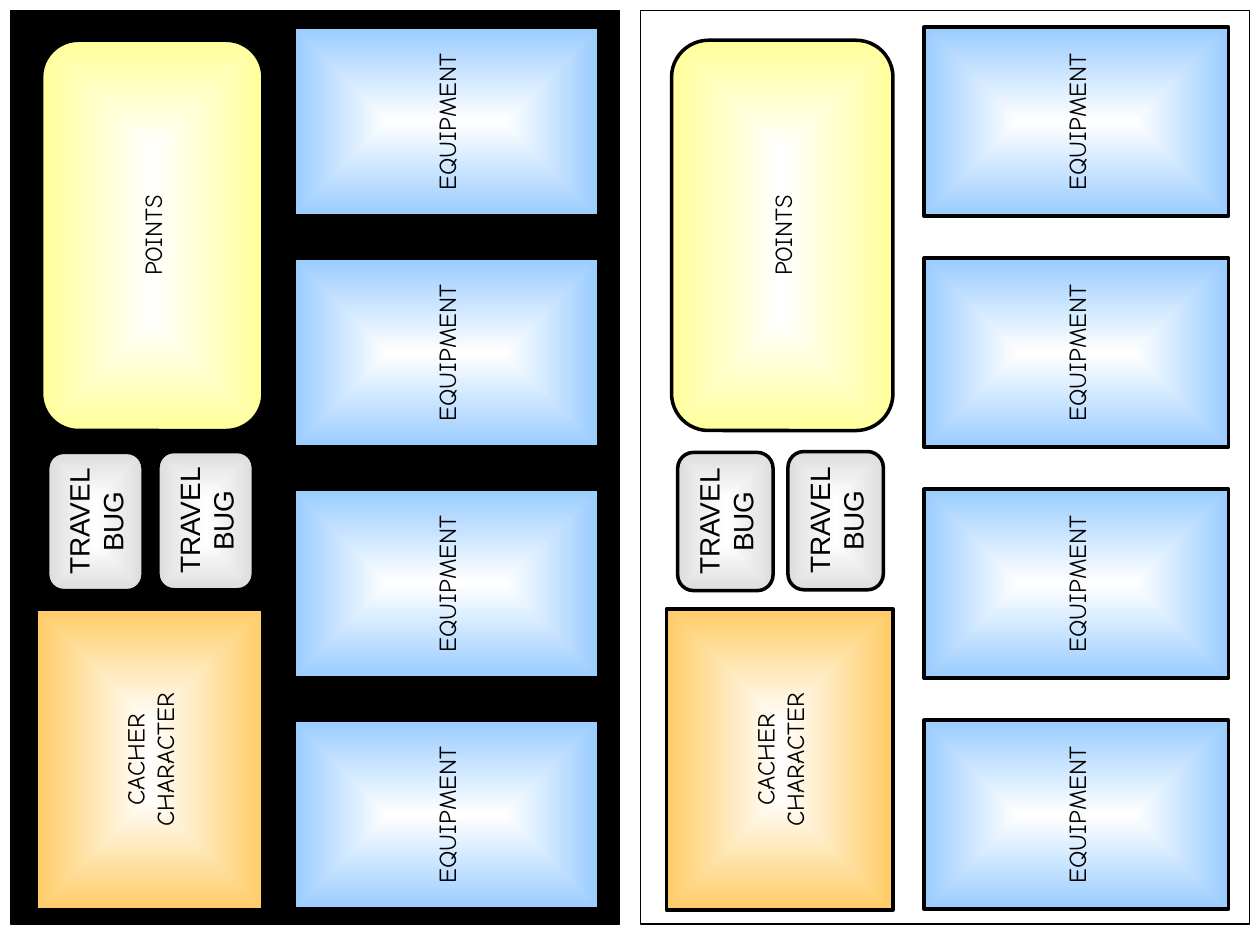
import pptx
import pptx.dml.color
import pptx.enum.shapes
import pptx.enum.text
import pptx.oxml
import pptx.oxml.ns
import pptx.util

Pt = pptx.util.Pt
SHAPE = pptx.enum.shapes.MSO_SHAPE
A_NS = pptx.oxml.ns.nsdecls("a")

BOARD_WIDTH, BOARD_HEIGHT = 348, 522
EQUIPMENT_STEP = 132


def color(hex_string):
    return pptx.dml.color.RGBColor.from_string(hex_string)


def add_outlined(slide, kind, box, line_width):
    sp = slide.shapes.add_shape(kind, *(Pt(v) for v in box))
    sp.shadow.inherit = False
    sp.line.color.rgb = color("000000")
    sp.line.width = Pt(line_width)
    return sp


def fill_from_center(sp, edge):
    """Fade from white in the middle to the edge colour."""
    sp.fill.gradient()
    for stop, tone in zip(sp.fill.gradient_stops, ("FFFFFF", edge)):
        stop.color.rgb = color(tone)
    lin = sp._element.spPr.find(".//" + pptx.oxml.ns.qn("a:lin"))
    center = pptx.oxml.parse_xml(
        f'<a:path {A_NS} path="rect">'
        '<a:fillToRect l="50000" t="50000" r="50000" b="50000"/></a:path>')
    lin.getparent().replace(lin, center)


def add_card_space(slide, kind, center, size, edge, lines,
                   font="Comic Neue", font_size=14):
    """Place a card space turned a quarter to the left around its centre."""
    (x, y), (w, h) = center, size
    sp = add_outlined(slide, kind, (x - w / 2, y - h / 2, w, h), 2)
    sp.rotation = 270
    fill_from_center(sp, edge)
    tf = sp.text_frame
    tf.word_wrap = False
    tf.vertical_anchor = pptx.enum.text.MSO_ANCHOR.MIDDLE
    tf.text = "\n".join(lines)
    for p in tf.paragraphs:
        p.alignment = pptx.enum.text.PP_ALIGN.CENTER
        p.font.name = font
        p.font.size = Pt(font_size)
        p.font.color.rgb = color("000000")


def add_board(slide, left, top, background):
    board = add_outlined(slide, SHAPE.RECTANGLE,
                         (left, top, BOARD_WIDTH, BOARD_HEIGHT), 0.75)
    board.fill.solid()
    board.fill.fore_color.rgb = color(background)

    for i in range(4):
        add_card_space(slide, SHAPE.RECTANGLE,
                       (left + 249, top + 63.5 + i * EQUIPMENT_STEP),
                       (108, 174), "99CCFF", ["EQUIPMENT"])
    add_card_space(slide, SHAPE.ROUNDED_RECTANGLE, (left + 81, top + 128.5),
                   (223, 126.5), "FFFF99", ["POINTS"])
    for x, y in ((48.5, 292), (111.5, 291.5)):
        add_card_space(slide, SHAPE.ROUNDED_RECTANGLE, (left + x, top + y),
                       (79, 54.5), "DDDDDD", ["TRAVEL", "BUG"], "Arial", 16)
    add_card_space(slide, SHAPE.RECTANGLE, (left + 79.5, top + 428),
                   (172, 129.5), "FFCC66", ["CACHER", "CHARACTER"])


def main():
    prs = pptx.Presentation()
    prs.slide_width, prs.slide_height = Pt(720), Pt(540)
    slide = prs.slides.add_slide(prs.slide_layouts[6])
    add_board(slide, 6, 6, "000000")
    add_board(slide, 366, 6, "FFFFFF")
    prs.save("out.pptx")


if __name__ == "__main__":
    main()
